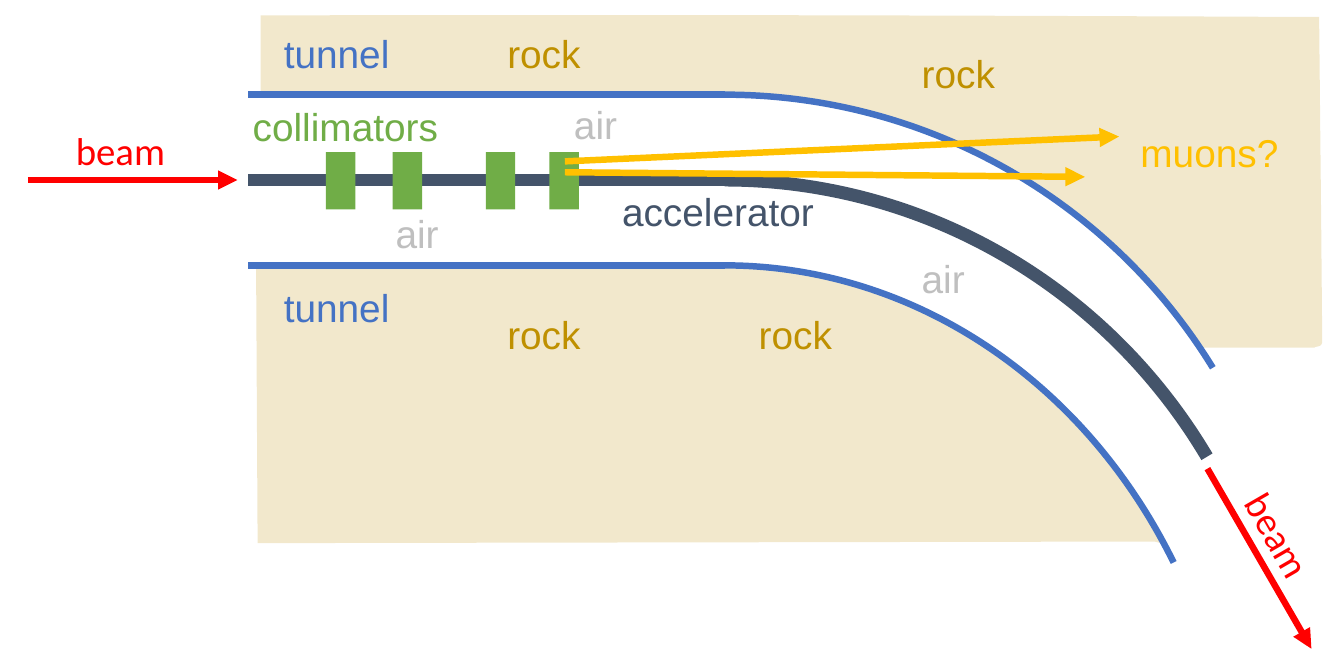
"""Draw a beam line that bends through a tunnel in rock, with muons leaving the collimators."""
from dataclasses import dataclass

from lxml.etree import SubElement
from pptx import Presentation
from pptx.dml.color import RGBColor
from pptx.enum.shapes import MSO_CONNECTOR, MSO_SHAPE
from pptx.enum.text import MSO_AUTO_SIZE
from pptx.oxml.ns import qn
from pptx.util import Inches, Pt


@dataclass(frozen=True)
class Theme:
    rock: str = "BF9000"
    tunnel: str = "4472C4"
    accelerator: str = "44546A"
    collimator: str = "70AD47"
    beam: str = "FF0000"
    muon: str = "FFC000"
    air: str = "BFBFBF"
    font: str = "Arial"
    beam_font: str = "Calibri"
    size: int = 18
    thin: int = 3
    thick: int = 6
    rock_opacity: int = 20


THEME = Theme()
SLIDE_SIZE = (8.66, 4.33)
ROCKS = [
    [(1.68, 0.61), (4.78, 0.62),
     (5.38, 0.67, 5.22, 0.65, 5.44, 0.69), (5.65, 0.74, 5.83, 0.78, 6.06, 0.89),
     (6.3, 1, 6.62, 1.16, 6.86, 1.34), (7.1, 1.52, 7.37, 1.82, 7.52, 1.97),
     (7.66, 2.12, 7.7, 2.2, 7.73, 2.24), (8.47, 2.24),
     (8.48, 2.23, 8.52, 2.24, 8.52, 2.2), (8.52, 2.16, 8.51, 1.06, 8.5, 0.11),
     (8.31, 0.11, 4.54, 0.09, 1.68, 0.1)],
    [(1.65, 1.7), (4.18, 1.7),
     (4.7, 1.7, 4.62, 1.69, 4.83, 1.71), (5.05, 1.72, 5.22, 1.73, 5.46, 1.81),
     (5.7, 1.89, 6.03, 2.02, 6.28, 2.17), (6.53, 2.33, 6.76, 2.54, 6.94, 2.73),
     (7.13, 2.92, 7.31, 3.2, 7.4, 3.32), (7.49, 3.44, 7.46, 3.41, 7.48, 3.44),
     (7.49, 3.47, 7.49, 3.49, 7.48, 3.5), (7.44, 3.49), (1.66, 3.5)],
]
TRACK_START, BEND_START = 1.6, 4.67
BEND_HEIGHT, BEND_ANGLES = 7.38, (270, 328.465)
ADJUSTMENT_PER_DEGREE = 0.6
TRACKS = [
    (0.61, 7.38, THEME.tunnel, THEME.thin),
    (1.71, 6.6, THEME.tunnel, THEME.thin),
    (1.16, 7.26, THEME.accelerator, THEME.thick),
]
COLLIMATOR_LEFTS = [2.1, 2.53, 3.13, 3.54]
COLLIMATOR_TOP, COLLIMATOR_SIZE = 0.98, (0.19, 0.37)
ARROWS = [
    ((0.18, 1.16), (1.53, 1.16), THEME.beam),
    ((3.64, 1.04), (7.21, 0.88), THEME.muon),
    ((3.64, 1.11), (6.99, 1.14), THEME.muon),
    ((7.78, 3.02), (8.45, 4.18), THEME.beam),
]
LABEL_HEIGHT = 0.4
LABELS = [
    ("tunnel", 0.89, THEME.tunnel, [(1.73, 0.14), (1.73, 1.78)]),
    ("collimators", 1.44, THEME.collimator, [(1.53, 0.61)]),
    ("accelerator", 1.46, THEME.accelerator, [(3.91, 1.16)]),
    ("muons?", 1.11, THEME.muon, [(7.25, 0.78)]),
    ("air", 0.48, THEME.air, [(2.45, 1.3), (3.6, 0.6), (5.84, 1.59)]),
    ("rock", 0.69, THEME.rock, [(4.79, 1.95), (5.84, 0.27), (3.17, 1.95), (3.17, 0.14)]),
]
BEAM_LABELS = [((0.39, 0.77), 0), ((7.85, 3.25), 60)]


def color(value):
    """Return a colour from its hex digits."""
    return RGBColor.from_string(value)


def curve_points(start, curve, steps=8):
    """Return points along a cubic curve, without its start."""
    anchors = [start, curve[:2], curve[2:4], curve[4:]]
    points = []
    for step in range(1, steps + 1):
        t = step / steps
        weights = ((1 - t) ** 3, 3 * t * (1 - t) ** 2, 3 * t * t * (1 - t), t ** 3)
        points.append(tuple(sum(w * anchor[axis] for w, anchor in zip(weights, anchors))
                            for axis in (0, 1)))
    return points


def add_rock(page, outline):
    """Add a translucent rock area."""
    points = [outline[0]]
    for segment in outline[1:]:
        points += [segment] if len(segment) == 2 else curve_points(points[-1], segment)
    corners = [(Inches(x), Inches(y)) for x, y in points]
    builder = page.shapes.build_freeform(*corners[0], scale=1.0)
    builder.add_line_segments(corners[1:], close=True)
    rock = builder.convert_to_shape()
    rock.shadow.inherit = False
    rock.line.fill.background()
    rock.fill.solid()
    rock.fill.fore_color.rgb = color(THEME.rock)
    tint = rock.fill._xPr.find(qn("a:solidFill"))[0]
    SubElement(tint, qn("a:alpha")).set("val", str(THEME.rock_opacity * 1000))


def add_line(page, start, end, shade, width=THEME.thin, arrow=False):
    """Add a straight line, with an arrowhead at its end on request."""
    ends = [Inches(value) for value in (*start, *end)]
    line = page.shapes.add_connector(MSO_CONNECTOR.STRAIGHT, *ends)
    line.line.color.rgb = color(shade)
    line.line.width = Pt(width)
    if arrow:
        SubElement(line.line._get_or_add_ln(), qn("a:tailEnd")).set("type", "triangle")
    SubElement(line._element.spPr, qn("a:effectLst"))


def add_track(page, top, bend_width, shade, width):
    """Add a straight run followed by its bend."""
    add_line(page, (TRACK_START, top), (BEND_START, top), shade, width)
    bend = page.shapes.add_shape(
        MSO_SHAPE.ARC, Inches(BEND_START - bend_width / 2), Inches(top),
        Inches(bend_width), Inches(BEND_HEIGHT))
    for index, angle in enumerate(BEND_ANGLES):
        bend.adjustments[index] = angle * ADJUSTMENT_PER_DEGREE
    bend.shadow.inherit = False
    bend.fill.background()
    bend.line.color.rgb = color(shade)
    bend.line.width = Pt(width)


def add_collimator(page, left):
    """Add one collimator block."""
    block = page.shapes.add_shape(
        MSO_SHAPE.RECTANGLE, Inches(left), Inches(COLLIMATOR_TOP),
        *(Inches(side) for side in COLLIMATOR_SIZE))
    block.shadow.inherit = False
    block.fill.solid()
    block.fill.fore_color.rgb = color(THEME.collimator)
    block.line.fill.background()


def add_label(page, text, place, width, shade, font=THEME.font, rotation=0):
    """Add a one-line label."""
    box = page.shapes.add_textbox(
        *(Inches(value) for value in (*place, width, LABEL_HEIGHT)))
    box.rotation = rotation
    box.text_frame.word_wrap = False
    box.text_frame.auto_size = MSO_AUTO_SIZE.SHAPE_TO_FIT_TEXT
    span = box.text_frame.paragraphs[0].add_run()
    span.text = text
    span.font.name = font
    span.font.size = Pt(THEME.size)
    span.font.color.rgb = color(shade)


deck = Presentation()
deck.slide_width, deck.slide_height = (Inches(side) for side in SLIDE_SIZE)
page = deck.slides.add_slide(deck.slide_layouts[6])
for outline in ROCKS:
    add_rock(page, outline)
for track in TRACKS:
    add_track(page, *track)
for left in COLLIMATOR_LEFTS:
    add_collimator(page, left)
for start, end, shade in ARROWS:
    add_line(page, start, end, shade, arrow=True)
for text, width, shade, places in LABELS:
    for place in places:
        add_label(page, text, place, width, shade)
for place, rotation in BEAM_LABELS:
    add_label(page, "beam", place, 0.78, THEME.beam, font=THEME.beam_font, rotation=rotation)
deck.save("out.pptx")
